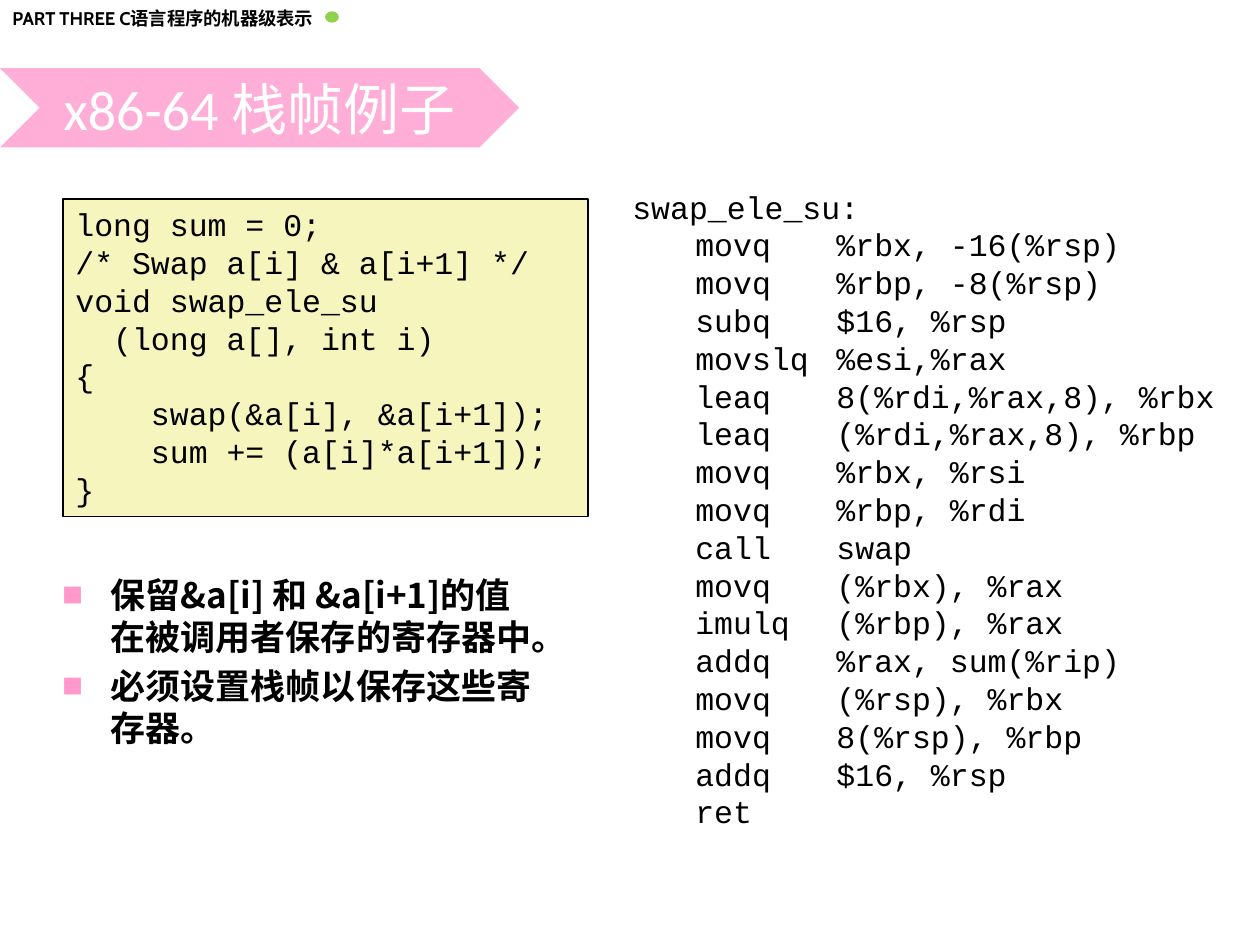
from collections import namedtuple

from lxml.etree import SubElement
from pptx import Presentation
from pptx.dml.color import RGBColor
from pptx.enum.shapes import MSO_SHAPE
from pptx.enum.text import MSO_ANCHOR, PP_ALIGN
from pptx.oxml.ns import qn
from pptx.util import Inches, Pt

BLACK = RGBColor(0x00, 0x00, 0x00)
WHITE = RGBColor(0xFF, 0xFF, 0xFF)
PINK = RGBColor(0xFF, 0x99, 0xCC)
GREEN = RGBColor(0x92, 0xD0, 0x50)
CREAM = RGBColor(0xF6, 0xF5, 0xBD)

COLUMNS = 100
CELL = Inches(10) // COLUMNS
TAB_STOPS = (0.5, 1.62)
CJK_FONT = "Noto Sans CJK SC"
Box = namedtuple("Box", "column row columns rows")

C_CODE = """long sum = 0;
/* Swap a[i] & a[i+1] */
void swap_ele_su
  (long a[], int i)
{
    swap(&a[i], &a[i+1]);
    sum += (a[i]*a[i+1]);
}"""

ASSEMBLY_LABEL = "swap_ele_su:"
INSTRUCTIONS = (
    ("movq", "%rbx, -16(%rsp)"),
    ("movq", "%rbp, -8(%rsp)"),
    ("subq", "$16, %rsp"),
    ("movslq", "%esi,%rax"),
    ("leaq", "8(%rdi,%rax,8), %rbx"),
    ("leaq", "(%rdi,%rax,8), %rbp"),
    ("movq", "%rbx, %rsi"),
    ("movq", "%rbp, %rdi"),
    ("call", "swap"),
    ("movq", "(%rbx), %rax"),
    ("imulq", "(%rbp), %rax"),
    ("addq", "%rax, sum(%rip)"),
    ("movq", "(%rsp), %rbx"),
    ("movq", "8(%rsp), %rbp"),
    ("addq", "$16, %rsp"),
    ("ret",),
)
NOTES = (
    "保留&a[i] 和 &a[i+1]的值在被调用者保存的寄存器中。",
    "必须设置栈帧以保存这些寄存器。",
)


def measure(box):
    """Turn a box in grid cells into slide lengths."""
    return [round(value * CELL) for value in box]


def add_filled_shape(slide, kind, box, color):
    """Add a flat preset shape without an outline."""
    shape = slide.shapes.add_shape(kind, *measure(box))
    shape.shadow.inherit = False
    shape.fill.solid()
    shape.fill.fore_color.rgb = color
    shape.line.fill.background()
    return shape


def add_text_box(slide, box, wrap=True):
    """Add an empty text box and return its text frame."""
    text_frame = slide.shapes.add_textbox(*measure(box)).text_frame
    text_frame.word_wrap = wrap
    return text_frame


def format_runs(paragraph, font_name, size, color=BLACK, bold=False):
    """Format every run of a paragraph, East Asian letters included."""
    for run in paragraph.runs:
        font = run.font
        font.name, font.size, font.bold = font_name, Pt(size), bold
        font.color.rgb = color
        east_asian = SubElement(run._r.get_or_add_rPr(), qn("a:ea"))
        east_asian.set("typeface", CJK_FONT)


def fill_code(text_frame, code):
    """Write code lines with the shared tab stops."""
    text_frame.text = code
    for paragraph in text_frame.paragraphs:
        paragraph.alignment = PP_ALIGN.LEFT
        tab_list = SubElement(paragraph._p.get_or_add_pPr(), qn("a:tabLst"))
        for position in TAB_STOPS:
            SubElement(tab_list, qn("a:tab"), pos=str(Inches(position)), algn="l")
        format_runs(paragraph, "Courier New", 18)


def add_header(slide, box):
    """Place the part name with a dot at its right end."""
    text_frame = add_text_box(slide, box, wrap=False)
    text_frame.text = "PART THREE C语言程序的机器级表示"
    format_runs(text_frame.paragraphs[0], "Cabin", 10.5, bold=True)
    dot = Box(box.column + box.columns - 1.1, box.row + 0.8, 1.1, 0.9)
    add_filled_shape(slide, MSO_SHAPE.OVAL, dot, GREEN)


def add_title(slide, box):
    """Place the title on a translucent chevron."""
    chevron = add_filled_shape(slide, MSO_SHAPE.CHEVRON, box, PINK)
    fill_color = chevron._element.spPr.find(qn("a:solidFill"))[0]
    SubElement(fill_color, qn("a:alpha"), val="78000")
    text_frame = chevron.text_frame
    text_frame.word_wrap = False
    text_frame.vertical_anchor = MSO_ANCHOR.MIDDLE
    text_frame.text = "x86-64 栈帧例子"
    paragraph = text_frame.paragraphs[0]
    paragraph.alignment = PP_ALIGN.CENTER
    format_runs(paragraph, "Calibri", 32, WHITE)


def add_source_panel(slide, box):
    """Place the C function in an outlined panel."""
    panel = add_filled_shape(slide, MSO_SHAPE.RECTANGLE, box, CREAM)
    panel.line.color.rgb = BLACK
    panel.line.width = Pt(1)
    panel.text_frame.vertical_anchor = MSO_ANCHOR.TOP
    fill_code(panel.text_frame, C_CODE)


def add_assembly(slide, box):
    """Place the assembly listing in tabbed columns."""
    lines = ["\t" + "\t".join(instruction) for instruction in INSTRUCTIONS]
    fill_code(add_text_box(slide, box), "\n".join([ASSEMBLY_LABEL, *lines]))


def add_notes(slide, box):
    """Place the bulleted remarks."""
    text_frame = add_text_box(slide, box)
    text_frame.text = "\n".join(NOTES)
    for index, paragraph in enumerate(text_frame.paragraphs):
        paragraph.line_spacing = Pt(24)
        paragraph.space_before = Pt(4 if index else 0)
        properties = paragraph._p.get_or_add_pPr()
        properties.set("marL", str(Inches(0.38)))
        properties.set("indent", str(-Inches(0.38)))
        bullet_color = SubElement(properties, qn("a:buClr"))
        SubElement(bullet_color, qn("a:srgbClr"), val=str(PINK))
        SubElement(properties, qn("a:buSzPct"), val="60000")
        SubElement(properties, qn("a:buFont"), typeface=CJK_FONT)
        SubElement(properties, qn("a:buChar"), char="■")
        format_runs(paragraph, CJK_FONT, 20, bold=True)


def main():
    """Build the slide and save it."""
    presentation = Presentation()
    presentation.slide_width = Inches(10)
    presentation.slide_height = Inches(7.5)
    slide = presentation.slides.add_slide(presentation.slide_layouts[6])
    add_header(slide, Box(0, 0.1, 26.9, 2.8))
    add_title(slide, Box(0, 5.4, 41.2, 6.3))
    add_source_panel(slide, Box(5, 15.8, 41.7, 25.2))
    add_assembly(slide, Box(49.2, 14.4, 50.8, 52.5))
    add_notes(slide, Box(4, 45, 39.2, 17.5))
    presentation.save("out.pptx")


if __name__ == "__main__":
    main()
